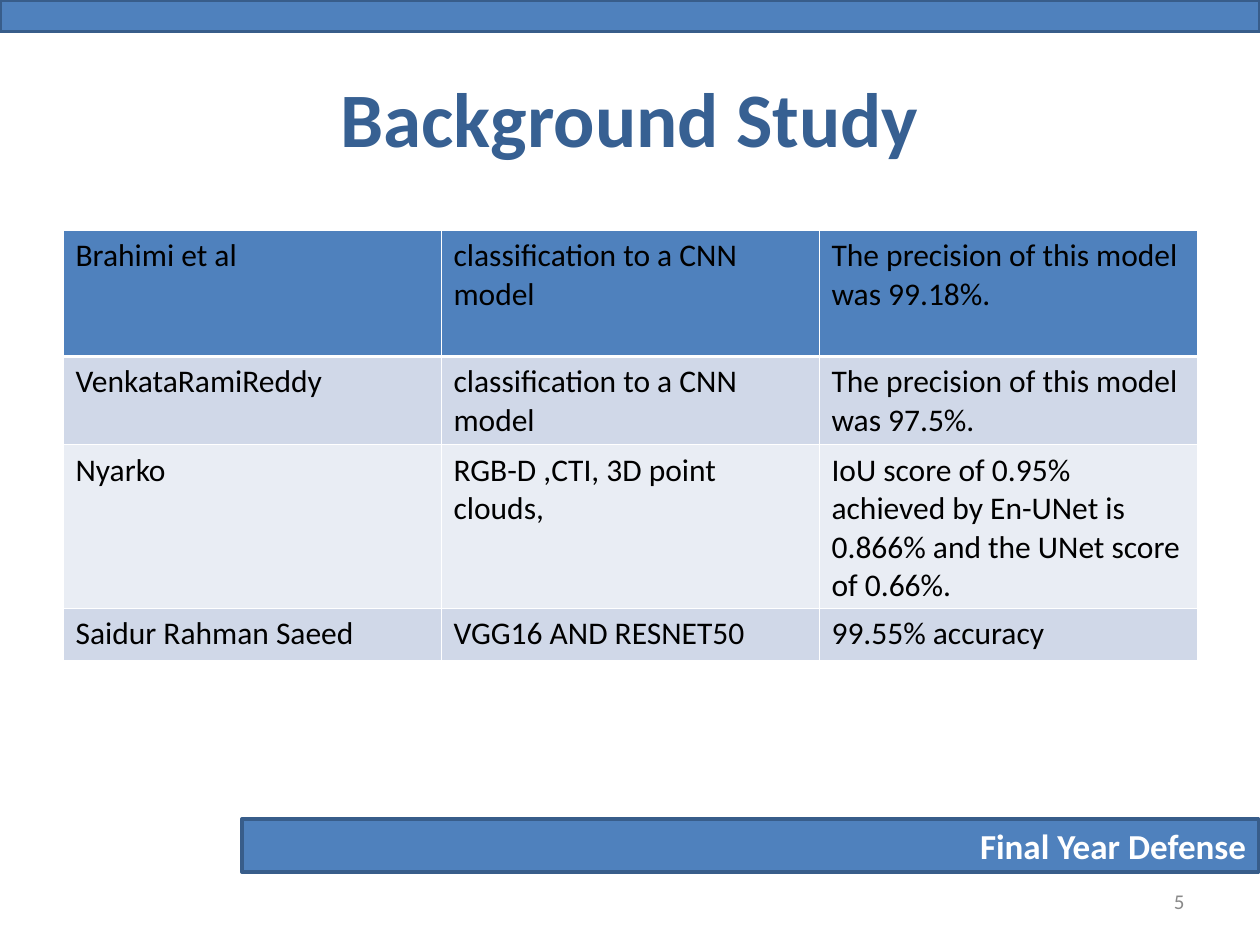
from lxml import etree
from pptx import Presentation
from pptx import util as u
from pptx.dml.color import RGBColor
from pptx.enum import shapes, text
from pptx.oxml import ns

WIDTH, HEIGHT = u.Inches(10), u.Inches(7.5)
COLUMN, ROW = WIDTH / 10, HEIGHT / 30
BLUE, WHITE = "4F81BD", "FFFFFF"
BANDS = [BLUE, "D0D8E8", "E9EDF4", "D0D8E8"]
ROW_SPANS = [4, 2.8, 5.2, 1.64]
THIN, THICK = 0.45, 1.47
STUDIES = [
    ["Brahimi et al", "classification to a CNN model",
     "The precision of this model was 99.18%."],
    ["VenkataRamiReddy", "classification to a CNN model",
     "The precision of this model was 97.5%."],
    ["Nyarko", "RGB-D ,CTI, 3D point clouds,",
     "IoU score of 0.95% achieved by En-UNet is 0.866% "
     "and the UNet score of 0.66%."],
    ["Saidur Rahman Saeed", "VGG16 AND RESNET50", "99.55% accuracy"],
]


def color(value):
    """Turn a hex string into a colour."""
    return RGBColor.from_string(value)


def place(left, top, width, height):
    """Convert grid columns and rows to slide lengths."""
    return [round(n * unit) for n, unit in
            zip((left, top, width, height), (COLUMN, ROW, COLUMN, ROW))]


def write(frame, words, size, ink, bold=False, align=text.PP_ALIGN.LEFT):
    """Fill a text frame with one formatted paragraph."""
    frame.word_wrap = True
    para = frame.paragraphs[0]
    para.alignment = align
    span = para.add_run()
    span.text = words
    looks = {"name": "Calibri", "size": u.Pt(size), "bold": bold}
    for name, value in looks.items():
        setattr(span.font, name, value)
    span.font.color.rgb = color(ink)


def add_bar(page, area):
    """Add an outlined blue bar and return it."""
    bar = page.shapes.add_shape(shapes.MSO_SHAPE.RECTANGLE, *place(*area))
    bar.shadow.inherit = False
    bar.fill.solid()
    bar.fill.fore_color.rgb = color(BLUE)
    bar.line.color.rgb = color("385D8A")
    bar.line.width = u.Pt(2)
    return bar


def add_label(page, area, *words, **looks):
    """Add a vertically centred text box."""
    box = page.shapes.add_textbox(*place(*area))
    box.text_frame.vertical_anchor = text.MSO_ANCHOR.MIDDLE
    write(box.text_frame, *words, **looks)


def add_borders(cell, widths):
    """Draw white cell borders, given widths by side in schema order."""
    props = cell._tc.get_or_add_tcPr()
    for side, width in widths.items():
        line = etree.SubElement(props, ns.qn(f"a:ln{side}"), w=str(u.Pt(width)))
        fill = etree.SubElement(line, ns.qn("a:solidFill"))
        etree.SubElement(fill, ns.qn("a:srgbClr"), val=WHITE)


def add_studies(page, area):
    """Add the table of earlier studies."""
    table = page.shapes.add_table(len(STUDIES), 3, *place(*area)).table
    for index, (study, band, height) in enumerate(zip(STUDIES, BANDS, ROW_SPANS)):
        table.rows[index].height = round(height * ROW)
        widths = {"L": THIN, "R": THIN,
                  "T": THICK if index == 1 else THIN,
                  "B": THICK if index == 0 else THIN}
        for cell, words in zip(table.rows[index].cells, study):
            add_borders(cell, widths)
            cell.fill.solid()
            cell.fill.fore_color.rgb = color(band)
            write(cell.text_frame, words, 18, "000000")


def main():
    """Build and save the slide."""
    deck = Presentation()
    deck.slide_width, deck.slide_height = WIDTH, HEIGHT
    page = deck.slides.add_slide(deck.slide_layouts[6])
    right, center = text.PP_ALIGN.RIGHT, text.PP_ALIGN.CENTER
    footer = add_bar(page, (1.92, 26, 8.07, 1.68))
    write(footer.text_frame, "Final Year Defense", 20, WHITE, bold=True, align=right)
    add_bar(page, (0, 0, 10, 1))
    add_label(page, (0.5, 1.2, 9, 5), "Background Study", 44, "376092",
              bold=True, align=center)
    add_studies(page, (0.5, 7.32, 9, sum(ROW_SPANS)))
    add_label(page, (7.17, 27.8, 2.33, 1.6), "5", 12, "898989", align=right)
    deck.save("out.pptx")


if __name__ == "__main__":
    main()
